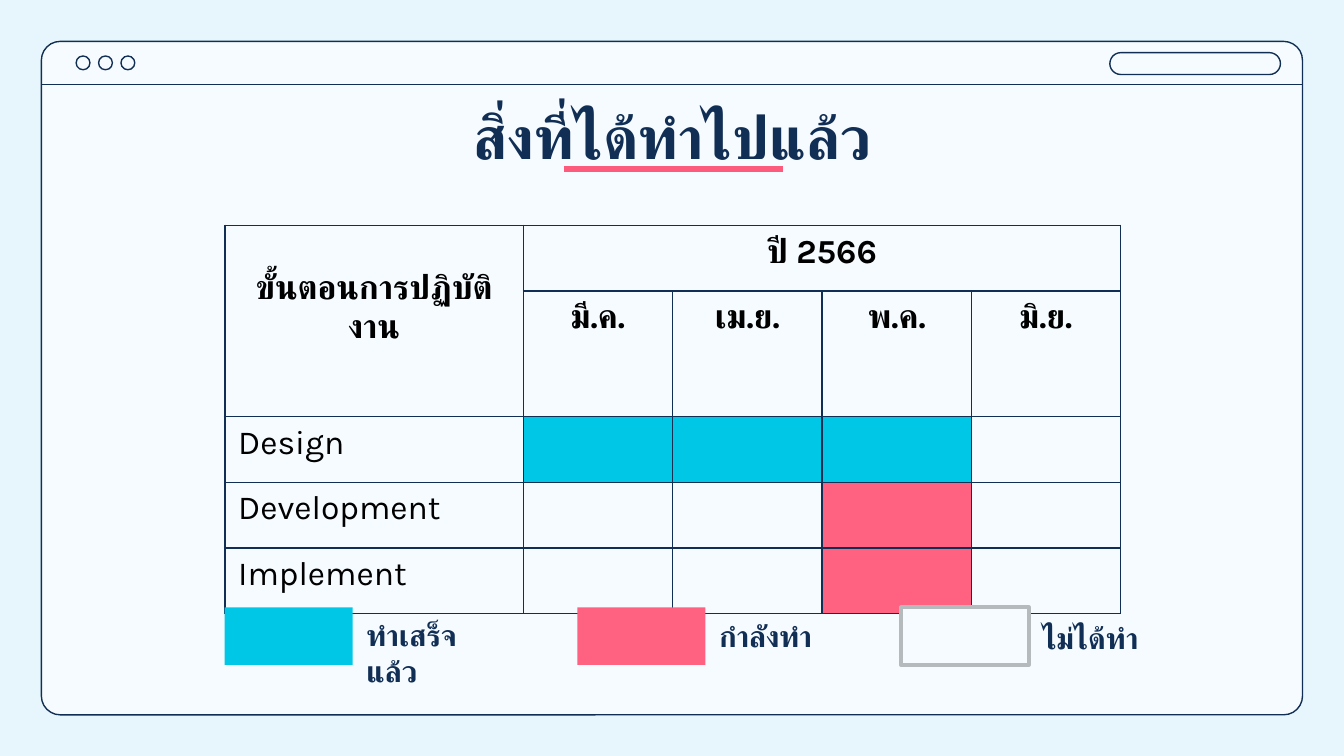
from lxml import etree
from pptx import Presentation
from pptx import util as u
from pptx.dml.color import RGBColor
from pptx.enum import shapes, text
from pptx.oxml import parse_xml
from pptx.oxml.ns import nsdecls, qn

Pt = u.Pt
NAVY = RGBColor(0x11, 0x2E, 0x54)
PALE = RGBColor(0xF5, 0xFB, 0xFF)
SKY = RGBColor(0xE6, 0xF6, 0xFC)
CYAN = RGBColor(0x00, 0xC7, 0xE6)
PINK = RGBColor(0xFF, 0x61, 0x80)
ROSE = RGBColor(0xFD, 0x5B, 0x7B)
GREY = RGBColor(0xB5, 0xBA, 0xBD)
BLACK = RGBColor(0, 0, 0)
FACE = "Karla"

RECT = shapes.MSO_SHAPE.RECTANGLE
ROUND = shapes.MSO_SHAPE.ROUNDED_RECTANGLE
OVAL = shapes.MSO_SHAPE.OVAL
MID = text.PP_ALIGN.CENTER
LEFT = text.PP_ALIGN.LEFT


def write(frame, words, size, color, bold=True, align=LEFT):
    """Put one formatted run of text into a text frame."""
    para = frame.paragraphs[0]
    para.alignment = align
    run = para.add_run()
    run.text = words
    style = {"name": FACE, "size": Pt(size), "bold": bold}
    for key, value in style.items():
        setattr(run.font, key, value)
    run.font.color.rgb = color
    # Thai text takes the complex-script face
    face = etree.SubElement(run.font._element, qn("a:cs"))
    face.set("typeface", FACE)


def inset(frame, side, top):
    edges = {"margin_left": side, "margin_right": side,
             "margin_top": top, "margin_bottom": top}
    for key, value in edges.items():
        setattr(frame, key, Pt(value))


def add_box(slide, kind, place, fill=None, line=None, width=0.75, round=None):
    box = slide.shapes.add_shape(kind, *map(Pt, place))
    box.shadow.inherit = False
    if round is not None:
        box.adjustments[0] = round
    if fill is None:
        box.fill.background()
    else:
        box.fill.solid()
        box.fill.fore_color.rgb = fill
    if line is None:
        box.line.fill.background()
    else:
        box.line.color.rgb = line
        box.line.width = Pt(width)


def add_rule(slide, left, right, y, color, width):
    rule = slide.shapes.add_connector(
        shapes.MSO_CONNECTOR.STRAIGHT, Pt(left), Pt(y), Pt(right), Pt(y))
    rule.line.color.rgb = color
    rule.line.width = Pt(width)
    etree.SubElement(rule._element.spPr, qn("a:effectLst"))


def add_window(slide):
    """Browser window with three buttons and an address bar."""
    add_box(slide, ROUND, (22.2, 22.2, 675.6, 360.8), PALE, NAVY, round=0.028)
    for i in range(3):
        add_box(slide, OVAL, (40.8 + 12 * i, 30, 7.4, 7.4), line=NAVY)
    add_box(slide, ROUND, (594.6, 28.2, 91.4, 11.7), line=NAVY, round=0.5)
    add_rule(slide, 22.2, 697.8, 45.2, NAVY, 0.75)


def add_title(slide, words):
    title = slide.shapes.title
    place = {"left": 56.9, "top": 46.1, "width": 607, "height": 45.4}
    for key, value in place.items():
        setattr(title, key, Pt(value))
    frame = title.text_frame
    frame.auto_size = text.MSO_AUTO_SIZE.NONE
    frame.vertical_anchor = text.MSO_ANCHOR.TOP
    inset(frame, 7.2, 7.2)
    write(frame, words, 32, NAVY, align=MID)
    # Bring the title in front of the window
    slide.shapes._spTree.append(title._element)
    add_rule(slide, 302, 419.4, 90.4, ROSE, 3)


def add_edges(cell):
    props = cell._tc.get_or_add_tcPr()
    for side in "LRTB":
        props.append(parse_xml(
            f'<a:ln{side} {nsdecls("a")} w="{Pt(1)}"><a:solidFill>'
            f'<a:srgbClr val="{NAVY}"/></a:solidFill></a:ln{side}>'))


def add_plan(slide):
    """Schedule: tasks by month, with done and running cells coloured."""
    months = ["มี.ค.", "เม.ย.", "พ.ค.", "มิ.ย."]
    tasks = {"Design": [CYAN, CYAN, CYAN, None],
             "Development": [None, None, PINK, None],
             "Implement": [None, None, PINK, None]}
    widths = [160] + [80] * 4
    heights = [35.2, 64.2] + [35.2] * 3
    table = slide.shapes.add_table(
        len(heights), len(widths), Pt(120.4), Pt(120.8),
        Pt(sum(widths)), Pt(sum(heights))).table
    table.first_row = table.horz_banding = False
    for col, width in zip(table.columns, widths):
        col.width = Pt(width)
    for row, height in zip(table.rows, heights):
        row.height = Pt(height)
    for cell in table.iter_cells():
        add_edges(cell)
        cell.fill.background()

    # Headings
    head = table.cell(0, 0)
    head.merge(table.cell(1, 0))
    head.margin_top, head.margin_bottom = Pt(23), Pt(2)
    write(head.text_frame, "ขั้นตอนการปฏิบัติงาน", 18, BLACK, align=MID)
    year = table.cell(0, 1)
    year.merge(table.cell(0, 4))
    write(year.text_frame, "ปี 2566", 18, BLACK, align=MID)
    for c, month in enumerate(months, 1):
        write(table.cell(1, c).text_frame, month, 18, BLACK, align=MID)

    # Task rows
    for r, (task, fills) in enumerate(tasks.items(), 2):
        write(table.cell(r, 0).text_frame, task, 18, BLACK, bold=False)
        for c, color in enumerate(fills, 1):
            if color is not None:
                fill = table.cell(r, c).fill
                fill.solid()
                fill.fore_color.rgb = color


def add_key(slide, left, top, words, fill, line=None):
    """Legend swatch with its label on the right."""
    add_box(slide, RECT, (left, 325.4, 68.6, 30.8), fill, line, 2)
    label = slide.shapes.add_textbox(Pt(left + 68.8), Pt(top), Pt(84.2), Pt(26.6))
    frame = label.text_frame
    frame.word_wrap = True
    frame.auto_size = text.MSO_AUTO_SIZE.SHAPE_TO_FIT_TEXT
    inset(frame, 7.2, 3.6)
    write(frame, words, 16, NAVY)


def main():
    deck = Presentation()
    deck.slide_width, deck.slide_height = Pt(720), Pt(405)
    slide = deck.slides.add_slide(deck.slide_layouts[5])
    back = slide.background.fill
    back.solid()
    back.fore_color.rgb = SKY

    add_window(slide)
    add_title(slide, "สิ่งที่ได้ทำไปแล้ว")
    add_plan(slide)
    add_key(slide, 120.4, 327, "ทำเสร็จแล้ว", CYAN)
    add_key(slide, 309.4, 327.6, "กำลังทำ", PINK)
    add_key(slide, 482.6, 328.2, "ไม่ได้ทำ", PALE, GREY)
    deck.save("out.pptx")


if __name__ == "__main__":
    main()
